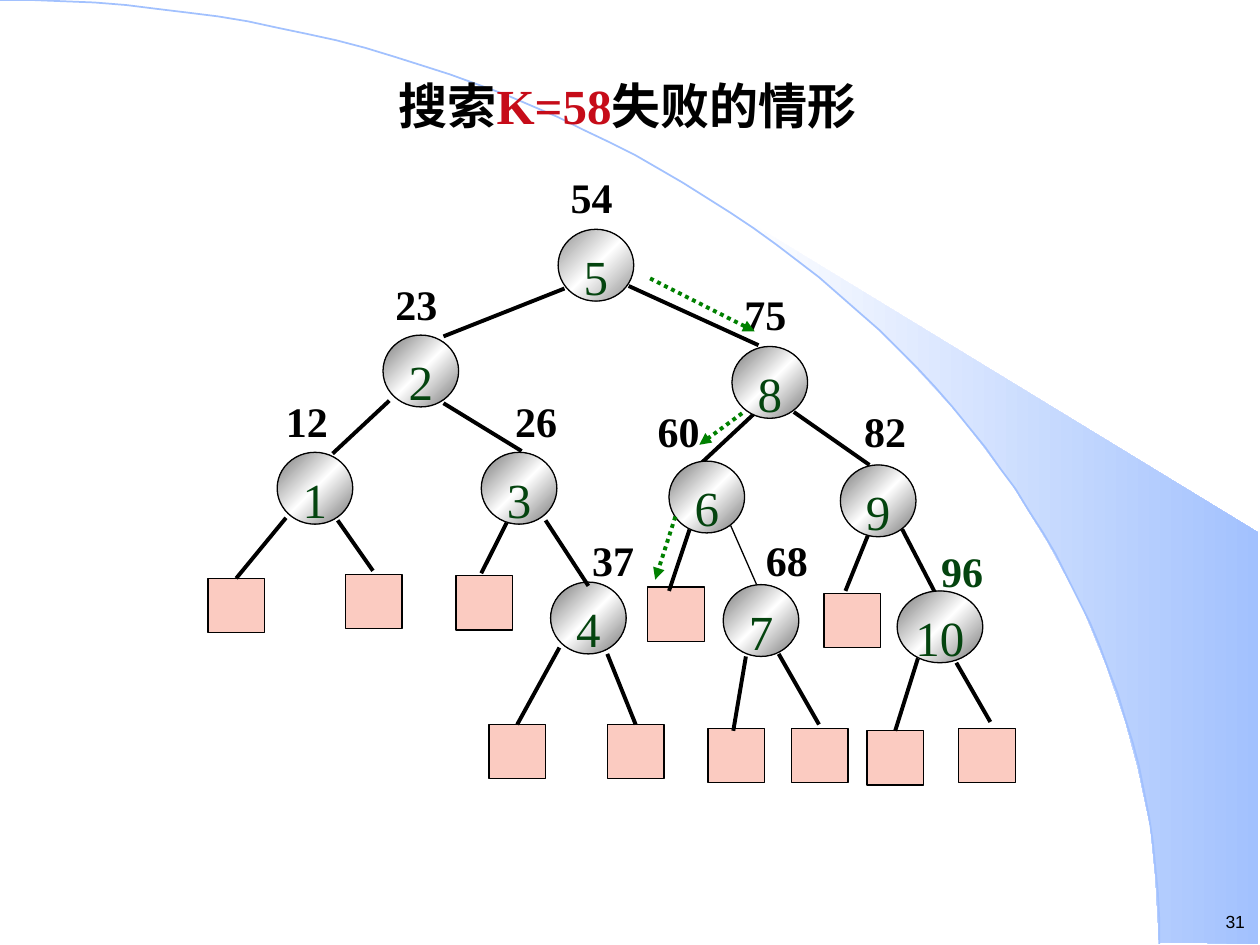
from copy import deepcopy

from lxml.etree import SubElement
from pptx import Presentation
from pptx.dml.color import RGBColor
from pptx.enum.dml import MSO_LINE
from pptx.enum.shapes import MSO_CONNECTOR, MSO_SHAPE
from pptx.enum.text import MSO_ANCHOR, PP_ALIGN
from pptx.oxml.ns import qn
from pptx.util import Emu, Pt

BLACK, WHITE, RED, GREEN = "000000", "FFFFFF", "C60C19", "04440F"
PINK, BLUE, ARROW, GREY = "FBCBC1", "A2C1FE", "008000", "767676"
SERIF = "Times New Roman"

SWOOSH = [(920, 748), (999, 749), (999, 423), (589, 173), (624, 199), (653, 222),
          (685, 250), (716, 280), (762, 330), (803, 384), (832, 431), (858, 479),
          (878, 528), (893, 572), (903, 609), (913, 656), (917, 696)]
LEAVES = {
    "1 left": (165, 459), "1 right": (274, 456), "3 left": (362, 457),
    "6 left": (514, 466), "9 left": (654, 471), "4 left": (388, 575),
    "4 right": (482, 575), "7 left": (562, 578), "7 right": (628, 578),
    "10 left": (688, 580), "10 right": (761, 578),
}
EDGES = [
    (499, 227, 602, 274), (448, 229, 352, 267), (309, 318, 264, 360),
    (352, 320, 414, 358), (600, 327, 555, 369), (630, 327, 690, 369),
    (268, 413, 296, 453), (403, 413, 382, 455), (433, 413, 467, 465),
    (548, 418, 531, 469), (690, 422, 671, 469), (716, 420, 744, 474),
    (592, 521, 582, 580), (618, 519, 650, 575), (759, 526, 786, 573),
]
LEAF_EDGES = {"1 left": (227, 411), "4 left": (444, 514),
              "4 right": (482, 519), "10 left": (729, 521)}
NODES = [("5", 443, 182), ("2", 304, 266), ("8", 581, 275), ("1", 220, 359),
         ("3", 382, 359), ("6", 531, 366), ("9", 667, 369), ("7", 574, 464)]
KEYS = [("54", 443, 131), ("75", 581, 224), ("82", 676, 317), ("23", 304, 216),
        ("12", 217, 309), ("26", 399, 309), ("60", 512, 317), ("37", 460, 419),
        ("68", 598, 419)]
SEARCH_STEPS = [(516, 221, 599, 263), (589, 328, 555, 353), (536, 410, 520, 460)]


def px(length):
    """Turn px, 100 to the inch, into EMU."""
    return Emu(length * 9144)


def rgb(value):
    """Turn a hex string into a colour."""
    return RGBColor.from_string(value)


def arc_points(width, height, steps=60):
    """Sample the quarter curve from the top left to the bottom right."""
    points = []
    for step in range(steps + 1):
        t = step / steps
        s = 1 - t
        x = 3 * s * s * t * 0.55 + 3 * s * t * t + t ** 3
        y = 3 * s * t * t * 0.45 + t ** 3
        points.append((round(x * width, 2), round(y * height, 2)))
    return points


class TreeSlide:
    """Holds the style and the current slide of a search tree."""

    def __init__(self, slide):
        """Keep the slide that is drawn on."""
        self.slide = slide
        self.shapes = slide.shapes

    def outline(self, shape, color=None, width=0.75):
        """Set the outline of a shape and drop its shadow."""
        shape.shadow.inherit = False
        if color is None:
            shape.line.fill.background()
            return
        shape.line.color.rgb = rgb(color)
        shape.line.width = Pt(width)

    def gradient(self, shape, colors, angle):
        """Fill a shape with evenly spaced gradient stops."""
        shape.fill.gradient()
        shape.fill.gradient_angle = angle
        stop_list = shape._element.spPr.find(".//" + qn("a:gsLst"))
        for _ in colors[2:]:
            stop_list.append(deepcopy(stop_list[-1]))
        for index, (stop, color) in enumerate(zip(shape.fill.gradient_stops, colors)):
            stop.color.rgb = rgb(color)
            stop.position = index / (len(colors) - 1)

    def freeform(self, points, close):
        """Add an outline through the points."""
        builder = self.shapes.build_freeform(*points[0], scale=9144)
        builder.add_line_segments(points[1:], close=close)
        return builder.convert_to_shape()

    def set_text(self, shape, runs, size, font=SERIF, bold=False,
                 align=PP_ALIGN.LEFT, insets=(10, 5)):
        """Put one paragraph of (text, colour) runs into a shape."""
        frame = shape.text_frame
        frame.word_wrap = True
        frame.vertical_anchor = MSO_ANCHOR.TOP
        frame.margin_left = frame.margin_right = px(insets[0])
        frame.margin_top = frame.margin_bottom = px(insets[1])
        paragraph = frame.paragraphs[0]
        paragraph.alignment = align
        paragraph.font.name = font
        paragraph.font.size = Pt(size)
        paragraph.font.bold = bold
        for text, color in runs:
            run = paragraph.add_run()
            run.text = text
            run.font.color.rgb = rgb(color)
        return paragraph

    def text(self, box, runs, size, **style):
        """Add a text box."""
        shape = self.shapes.add_textbox(*map(px, box))
        return self.set_text(shape, runs, size, **style)

    def node(self, label, left, top, width=60, shade=GREY):
        """Add a shaded inner node."""
        shape = self.shapes.add_shape(
            MSO_SHAPE.OVAL, px(left), px(top), px(width), px(57))
        self.gradient(shape, [shade, WHITE, shade], 315)
        self.outline(shape, BLACK)
        self.set_text(shape, [(label, GREEN)], 28, align=PP_ALIGN.CENTER, insets=(2, 5))

    def leaf(self, left, top):
        """Add an external node."""
        shape = self.shapes.add_shape(
            MSO_SHAPE.RECTANGLE, px(left), px(top), px(45), px(43))
        shape.fill.solid()
        shape.fill.fore_color.rgb = rgb(PINK)
        self.outline(shape, BLACK)
        return shape

    def key(self, label, left, top, color=BLACK):
        """Add the key beside a node."""
        self.text((left, top, 61, 50), [(label, color)], 24, bold=True)

    def line(self, ends, color=BLACK, width=2.25, arrow=False, target=None):
        """Add a line, dotted with a head if it is an arrow."""
        connector = self.shapes.add_connector(MSO_CONNECTOR.STRAIGHT, *map(px, ends))
        if target is not None:
            connector.end_connect(target, 0)
        connector.line.color.rgb = rgb(color)
        connector.line.width = Pt(width)
        if arrow:
            connector.line.dash_style = MSO_LINE.ROUND_DOT
            SubElement(connector.line._ln, qn("a:tailEnd"), type="triangle")
        SubElement(connector._element.spPr, qn("a:effectLst"))


def main():
    """Build the slide and save it."""
    presentation = Presentation()
    presentation.slide_width, presentation.slide_height = px(1000), px(750)
    tree = TreeSlide(presentation.slides.add_slide(presentation.slide_layouts[6]))

    swoosh = tree.freeform(SWOOSH, close=True)
    tree.gradient(swoosh, [WHITE, BLUE], 0)
    tree.outline(swoosh)
    arc = tree.freeform(arc_points(920, 749), close=False)
    arc.fill.background()
    tree.outline(arc, BLUE, 1)

    tree.text((941, 718, 49, 27), [("31", BLACK)], 10, font="Arial",
              align=PP_ALIGN.RIGHT, insets=(2, 5))
    title = tree.text((114, 60, 768, 55),
                      [("搜索", BLACK), ("K=58", RED), ("失败的情形", BLACK)],
                      28, bold=True, align=PP_ALIGN.CENTER)
    title.line_spacing = 0.9

    tree.node("4", 437, 462)
    leaves = {name: tree.leaf(*place) for name, place in LEAVES.items()}
    for ends in EDGES:
        tree.line(ends)
    tree.line((579, 415, 604, 472), width=0.75)
    for name, start in LEAF_EDGES.items():
        tree.line((*start, *start), target=leaves[name])
    for label, left, top in NODES:
        tree.node(label, left, top, shade="909090" if label == "5" else GREY)
    tree.node("10", 712, 469, width=68)
    for label, left, top in KEYS:
        tree.key(label, left, top)
    tree.key("96", 737, 428, GREEN)
    for ends in SEARCH_STEPS:
        tree.line(ends, ARROW, arrow=True)

    presentation.save("out.pptx")


if __name__ == "__main__":
    main()
